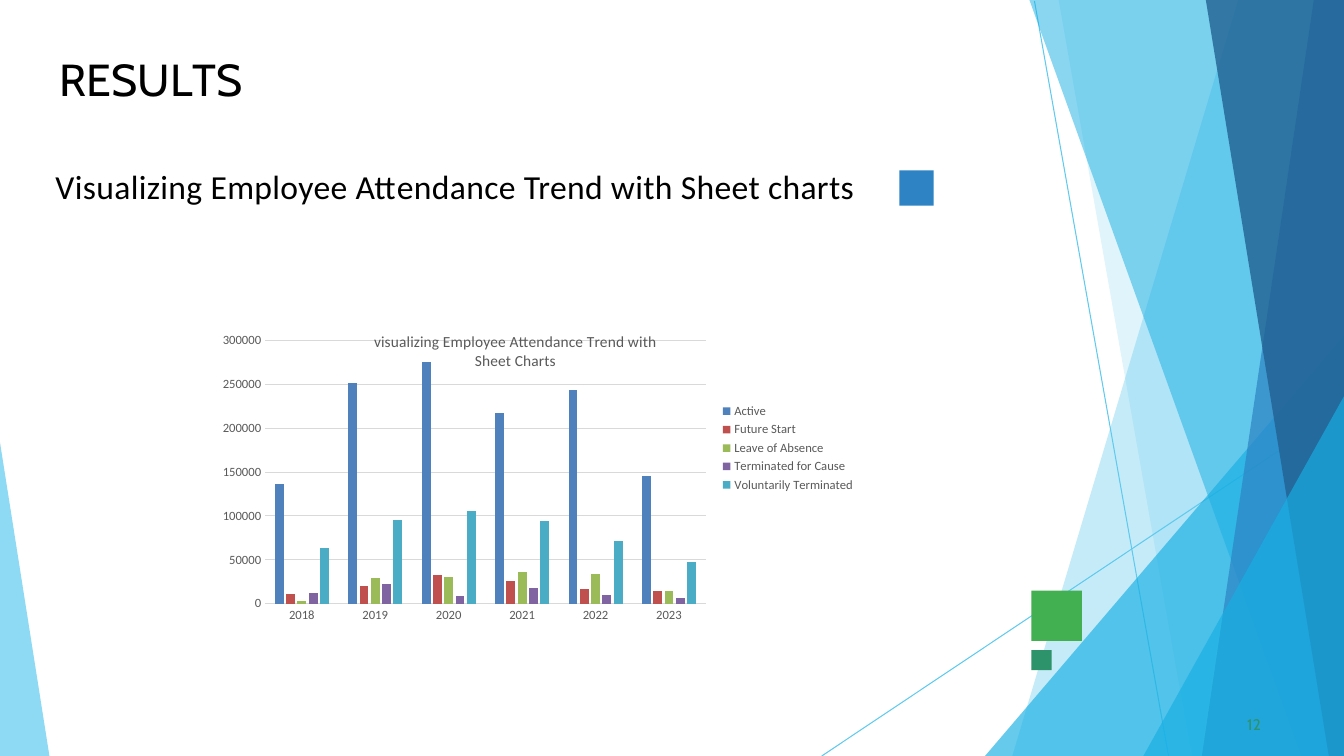
from lxml import etree
from pptx import Presentation
from pptx.chart.data import CategoryChartData
from pptx.dml.color import RGBColor
from pptx.enum.chart import XL_CHART_TYPE, XL_LEGEND_POSITION, XL_TICK_MARK
from pptx.enum.shapes import MSO_CONNECTOR, MSO_SHAPE
from pptx.oxml.ns import qn
from pptx.util import Inches, Pt

WIDTH, HEIGHT = 13.33, 7.5

THEME = {
    "heading_font": "Cabin", "body_font": "Calibri",
    "title_size": 32, "subtitle_size": 24, "number_size": 11,
    "chart_title_size": 11, "chart_size": 9,
    "text": "000000", "chart_text": "595959", "grid": "D9D9D9",
    "sky": "5FCAEE", "cyan": "17AFE3", "blue": "2D83C3", "navy": "226192",
    "green": "42AF51", "teal": "2D936B",
}

# Runs of text with their letter spacing in points
TITLE = [("R", 0), ("E", -0.4), ("S", 0.1), ("U", -0.3), ("L", -4), ("TS", 0)]
SUBTITLE = [("Visualizing Employee Attendance Trend with Sheet charts", 0.25)]
PAGE_NUMBER = [("12", 0.1)]

RAYS = [((10.26, 0.01), (11.59, HEIGHT)), ((WIDTH, 4.04), (8.15, HEIGHT))]

# Colour, opacity in percent, corners
FACETS = [
    ("sky", 36, [(WIDTH, 0), (12.28, 0), (10.04, HEIGHT), (WIDTH, HEIGHT)]),
    ("sky", 20, [(WIDTH, 0), (10.5, 0), (11.82, HEIGHT), (WIDTH, HEIGHT)]),
    ("cyan", 66, [(WIDTH, 3.33), (9.77, HEIGHT), (WIDTH, HEIGHT)]),
    ("cyan", 50, [(WIDTH, 0), (10.21, 0), (12.91, HEIGHT), (WIDTH, HEIGHT)]),
    ("blue", 70, [(WIDTH, 0), (13.03, 0), (11.92, HEIGHT), (WIDTH, HEIGHT)]),
    ("navy", 80, [(WIDTH, 0), (11.96, 0), (13.18, HEIGHT), (WIDTH, HEIGHT)]),
    ("cyan", 66, [(WIDTH, 3.93), (11.34, HEIGHT), (WIDTH, HEIGHT)]),
    ("sky", 70, [(0, 4.39), (0, HEIGHT), (0.49, HEIGHT)]),
]

SQUARES = [
    ("green", (10.23, 5.86, 0.5, 0.5)),
    ("blue", (8.92, 1.69, 0.34, 0.35)),
    ("teal", (10.23, 6.45, 0.2, 0.2)),
]

CHART_BOX = (2.08, 2.64, 6.51, 3.61)
CHART_TITLE = ["visualizing Employee Attendance Trend with", "Sheet Charts"]
YEARS = ["2018", "2019", "2020", "2021", "2022", "2023"]
STATUSES = [
    ("Active", "4F81BD", (136000, 252000, 276000, 218000, 244000, 145000)),
    ("Future Start", "C0504D", (11000, 20000, 33000, 26000, 17000, 14000)),
    ("Leave of Absence", "9BBB59", (3000, 29000, 30000, 36000, 34000, 14000)),
    ("Terminated for Cause", "8064A2", (12000, 22000, 9000, 18000, 10000, 6000)),
    ("Voluntarily Terminated", "4BACC6", (63000, 95000, 106000, 94000, 72000, 48000)),
]


def color(name):
    return RGBColor.from_string(THEME[name])


def set_font(font, face, size, tint):
    font.name, font.size, font.bold = THEME[face], Pt(THEME[size]), False
    font.color.rgb = color(tint)


def paint(shape, tint):
    shape.shadow.inherit = False
    shape.fill.solid()
    shape.fill.fore_color.rgb = color(tint)
    shape.line.fill.background()


def add_ray(slide, start, end):
    ray = slide.shapes.add_connector(
        MSO_CONNECTOR.STRAIGHT, *[Inches(v) for v in start + end])
    ray.line.color.rgb = color("sky")
    ray.line.width = Pt(0.75)
    etree.SubElement(ray._element.spPr, qn("a:effectLst"))


def add_facet(slide, tint, opacity, corners):
    points = [(Inches(x), Inches(y)) for x, y in corners]
    builder = slide.shapes.build_freeform(*points[0])
    builder.add_line_segments(points[1:], close=True)
    facet = builder.convert_to_shape()
    paint(facet, tint)
    rgb = facet._element.spPr.find(qn("a:solidFill"))[0]
    etree.SubElement(rgb, qn("a:alpha"), val=str(opacity * 1000))


def add_text(slide, box, runs, face, size, tint, top=0, indent=0, before=0):
    frame = slide.shapes.add_textbox(*[Inches(v) for v in box]).text_frame
    frame.word_wrap = True
    frame.margin_left = frame.margin_right = frame.margin_bottom = 0
    frame.margin_top = Inches(top)
    paragraph = frame.paragraphs[0]
    paragraph.space_before = Pt(before)
    paragraph._p.get_or_add_pPr().set("marL", str(Inches(indent)))
    set_font(paragraph.font, face, size, tint)
    for text, spacing in runs:
        run = paragraph.add_run()
        run.text = text
        run._r.get_or_add_rPr().set("spc", str(round(spacing * 100)))


def place(element, index, inner=False, **inches):
    """Give a chart part a manual layout, in inches from the chart's corner."""
    for old in element.findall(qn("c:layout")):
        element.remove(old)
    layout = etree.Element(qn("c:layout"))
    manual = etree.SubElement(layout, qn("c:manualLayout"))
    if inner:
        etree.SubElement(manual, qn("c:layoutTarget"), val="inner")
    for side in ("x", "y"):
        etree.SubElement(manual, qn(f"c:{side}Mode"), val="edge")
    _, _, chart_width, chart_height = CHART_BOX
    for side, value in inches.items():
        whole = chart_width if side in "xw" else chart_height
        etree.SubElement(manual, qn(f"c:{side}"), val=str(value / whole))
    element.insert(index, layout)


def add_attendance_chart(slide):
    data = CategoryChartData(number_format="General")
    data.categories = YEARS
    for name, _, counts in STATUSES:
        data.add_series(name, counts)
    chart = slide.shapes.add_chart(
        XL_CHART_TYPE.COLUMN_CLUSTERED, *[Inches(v) for v in CHART_BOX], data).chart
    set_font(chart.font, "body_font", "chart_size", "chart_text")

    title_frame = chart.chart_title.text_frame
    title_frame.text = "\n".join(CHART_TITLE)
    for paragraph in title_frame.paragraphs:
        set_font(paragraph.font, "body_font", "chart_title_size", "chart_text")
    title = chart.chart_title._element
    title.find(qn("c:overlay")).set("val", "1")
    place(title, 1, x=1.6, y=0.61)

    plot = chart.plots[0]
    plot.gap_width, plot.overlap, plot.vary_by_categories = 219, -27, False
    for series, (_, tint, _) in zip(plot.series, STATUSES):
        series.format.fill.solid()
        series.format.fill.fore_color.rgb = RGBColor.from_string(tint)
    place(chart._chartSpace.chart.plotArea, 0, True, x=0.55, y=0.74, w=4.37, h=2.61)

    for axis in (chart.category_axis, chart.value_axis):
        axis.major_tick_mark = axis.minor_tick_mark = XL_TICK_MARK.NONE
        set_font(axis.tick_labels.font, "body_font", "chart_size", "chart_text")
    values = chart.value_axis
    values.minimum_scale, values.maximum_scale, values.major_unit = 0, 300000, 50000
    values.format.line.fill.background()
    for line in (chart.category_axis.format.line, values.major_gridlines.format.line):
        line.color.rgb = color("grid")
        line.width = Pt(0.75)

    chart.has_legend = True
    legend = chart.legend
    legend.position = XL_LEGEND_POSITION.RIGHT
    legend.include_in_layout = False
    set_font(legend.font, "body_font", "chart_size", "chart_text")
    place(legend._element, 1, x=5.02, y=1.33, w=1.43, h=0.95)


def main():
    deck = Presentation()
    deck.slide_width, deck.slide_height = Inches(WIDTH), Inches(HEIGHT)
    slide = deck.slides.add_slide(deck.slide_layouts[6])
    for start, end in RAYS:
        add_ray(slide, start, end)
    for tint, opacity, corners in FACETS:
        add_facet(slide, tint, opacity, corners)
    for tint, box in SQUARES:
        paint(slide.shapes.add_shape(MSO_SHAPE.RECTANGLE, *[Inches(v) for v in box]), tint)
    add_text(slide, (0.58, 0.5, 6.34, 0.57), TITLE, "heading_font", "title_size",
             "text", top=0.01, indent=0.01, before=1.1)
    add_text(slide, (0.55, 1.65, 9.33, 0.4), SUBTITLE, "body_font", "subtitle_size", "text")
    add_text(slide, (12.33, 7.08, 0.25, 0.21), PAGE_NUMBER, "heading_font", "number_size",
             "teal", top=0.01, indent=0.04, before=0.6)
    add_attendance_chart(slide)
    deck.save("out.pptx")


if __name__ == "__main__":
    main()
